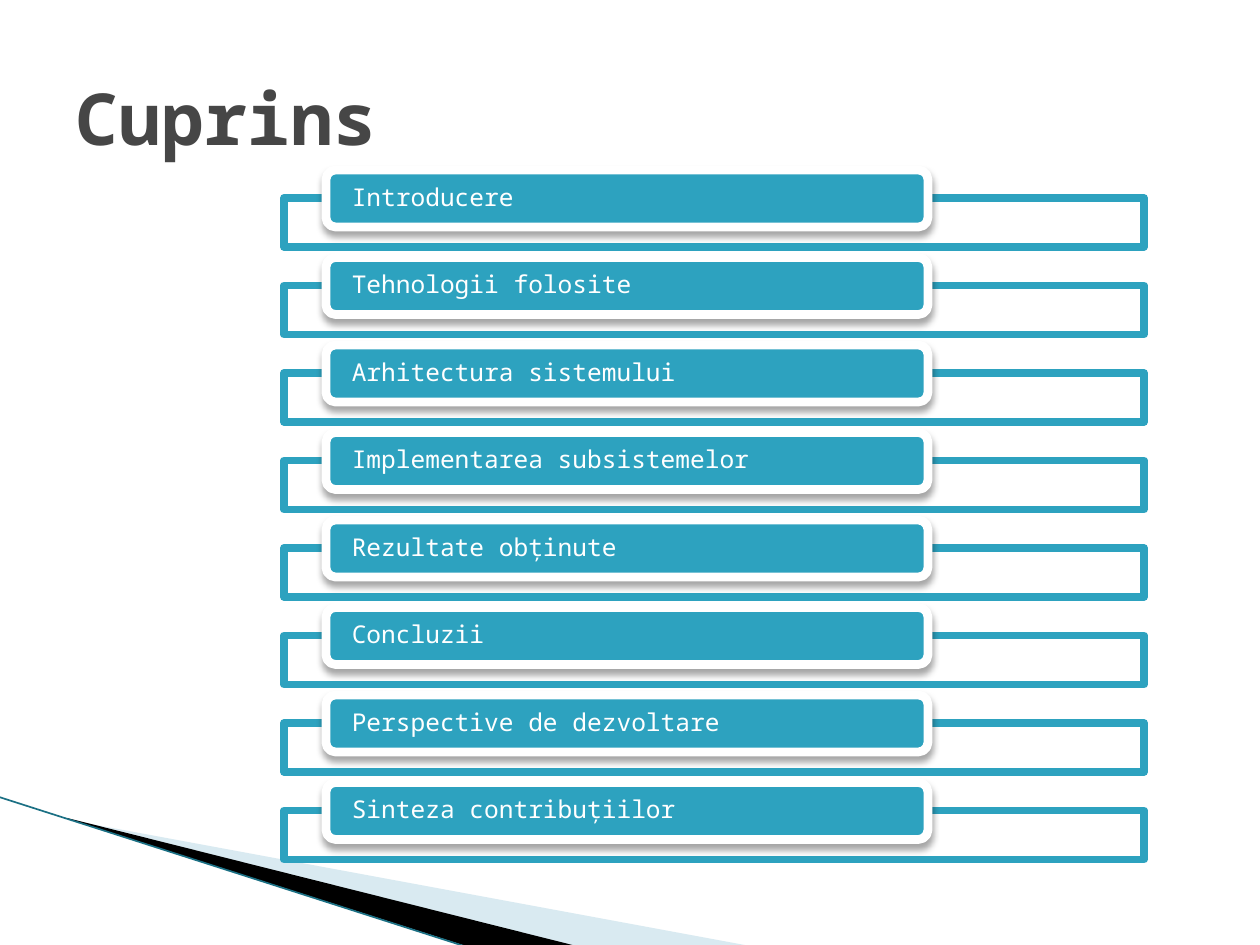
from lxml import etree
from pptx import Presentation
from pptx.dml.color import RGBColor
from pptx.enum.shapes import MSO_CONNECTOR, MSO_SHAPE
from pptx.enum.text import MSO_ANCHOR, PP_ALIGN
from pptx.oxml import parse_xml
from pptx.oxml.ns import nsdecls, qn
from pptx.util import Pt

PX = 914400 / 126
FONT = "Noto Sans Mono"
WHITE = RGBColor(0xFF, 0xFF, 0xFF)
BLACK = RGBColor(0x00, 0x00, 0x00)
TEAL = RGBColor(0x2D, 0xA2, 0xBF)
DARK_TEAL = RGBColor(0x1B, 0x70, 0x84)
PALE_BLUE = RGBColor(0xA0, 0xCB, 0xDC)
GREY = RGBColor(0x46, 0x46, 0x46)
RECTANGLE = MSO_SHAPE.RECTANGLE
ROUNDED = MSO_SHAPE.ROUNDED_RECTANGLE
STRAIGHT = MSO_CONNECTOR.STRAIGHT
MIDDLE = MSO_ANCHOR.MIDDLE
LEFT = PP_ALIGN.LEFT

PITCH = 87.5
CHAPTERS = [
    "Introducere",
    "Tehnologii folosite",
    "Arhitectura sistemului",
    "Implementarea subsistemelor",
    "Rezultate obținute",
    "Concluzii",
    "Perspective de dezvoltare",
    "Sinteza contribuțiilor",
]


def emu(*lengths):
    """Turn pixel lengths into EMU."""
    return [round(length * PX) for length in lengths]


def fill_shape(shape, color, opacity=100):
    """Fill a shape with one colour at a percentage of opacity."""
    shape.fill.solid()
    shape.fill.fore_color.rgb = color
    if opacity < 100:
        color_element = shape.fill._xPr.find(qn("a:solidFill"))[0]
        etree.SubElement(color_element, qn("a:alpha"), val=str(opacity * 1000))


def write_text(frame, text, size, color, bold=False):
    """Write one left-aligned, vertically centred run and return its paragraph."""
    frame.word_wrap = True
    frame.vertical_anchor = MIDDLE
    paragraph = frame.paragraphs[0]
    paragraph.alignment = LEFT
    run = paragraph.add_run()
    run.text = text
    run.font.name = FONT
    run.font.size = Pt(size)
    run.font.bold = bold
    run.font.color.rgb = color
    return paragraph


def add_wedge(slide, points, color, opacity=100):
    """Draw a borderless corner wedge through the given points."""
    builder = slide.shapes.build_freeform(*points[0], scale=PX)
    builder.add_line_segments(points[1:], close=True)
    wedge = builder.convert_to_shape()
    wedge.shadow.inherit = False
    fill_shape(wedge, color, opacity)
    wedge.line.fill.background()


def add_edge_line(slide, start, end):
    """Draw the thin line along the corner wedge."""
    line = slide.shapes.add_connector(STRAIGHT, *emu(*start, *end))
    line.line.color.rgb = DARK_TEAL
    line.line.width = Pt(0.95)
    etree.SubElement(line._element.spPr, qn("a:effectLst"))


def add_title(slide, text):
    """Add the slide heading."""
    box = slide.shapes.add_textbox(*emu(63, 38, 1134, 158))
    write_text(box.text_frame, text, 41, GREY, bold=True)


def add_box(slide, kind, bounds, fill, opacity, outline, width):
    """Add an outlined preset shape without a shadow."""
    box = slide.shapes.add_shape(kind, *emu(*bounds))
    box.shadow.inherit = False
    fill_shape(box, fill, opacity)
    box.line.color.rgb = outline
    box.line.width = Pt(width)
    return box


def add_soft_shadow(shape):
    """Give a shape a soft shadow straight below it."""
    properties = shape._element.spPr
    properties.remove(properties.find(qn("a:effectLst")))
    properties.append(parse_xml(
        f'<a:effectLst {nsdecls("a")}>'
        f'<a:outerShdw blurRad="{Pt(4)}" dist="{Pt(3)}" dir="5400000" rotWithShape="0">'
        '<a:srgbClr val="000000"><a:alpha val="35000"/></a:srgbClr>'
        '</a:outerShdw></a:effectLst>'
    ))


def add_chapter(slide, text, offset):
    """Add a chapter label over its outlined frame."""
    add_box(slide, RECTANGLE, (284, 198 + offset, 860, 49), WHITE, 90, TEAL, 4.33)
    label = add_box(slide, ROUNDED, (326, 170 + offset, 602, 57), TEAL, 100, WHITE, 5)
    add_soft_shadow(label)
    frame = label.text_frame
    frame.margin_left, frame.margin_right = emu(23, 23)
    frame.margin_top = frame.margin_bottom = 0
    write_text(frame, text, 14, WHITE).line_spacing = 0.9


def main():
    """Build the contents slide."""
    presentation = Presentation()
    presentation.slide_width, presentation.slide_height = emu(1260, 945)
    slide = presentation.slides.add_slide(presentation.slide_layouts[6])
    add_wedge(slide, [(69, 820), (750, 946), (575, 946), (69, 819)], PALE_BLUE, 40)
    add_wedge(slide, [(67, 818), (576, 946), (469, 947), (68, 819)], BLACK)
    add_edge_line(slide, (-1, 797), (467, 947))
    add_title(slide, "Cuprins")
    for index, chapter in enumerate(CHAPTERS):
        add_chapter(slide, chapter, index * PITCH)
    presentation.save("out.pptx")


if __name__ == "__main__":
    main()
